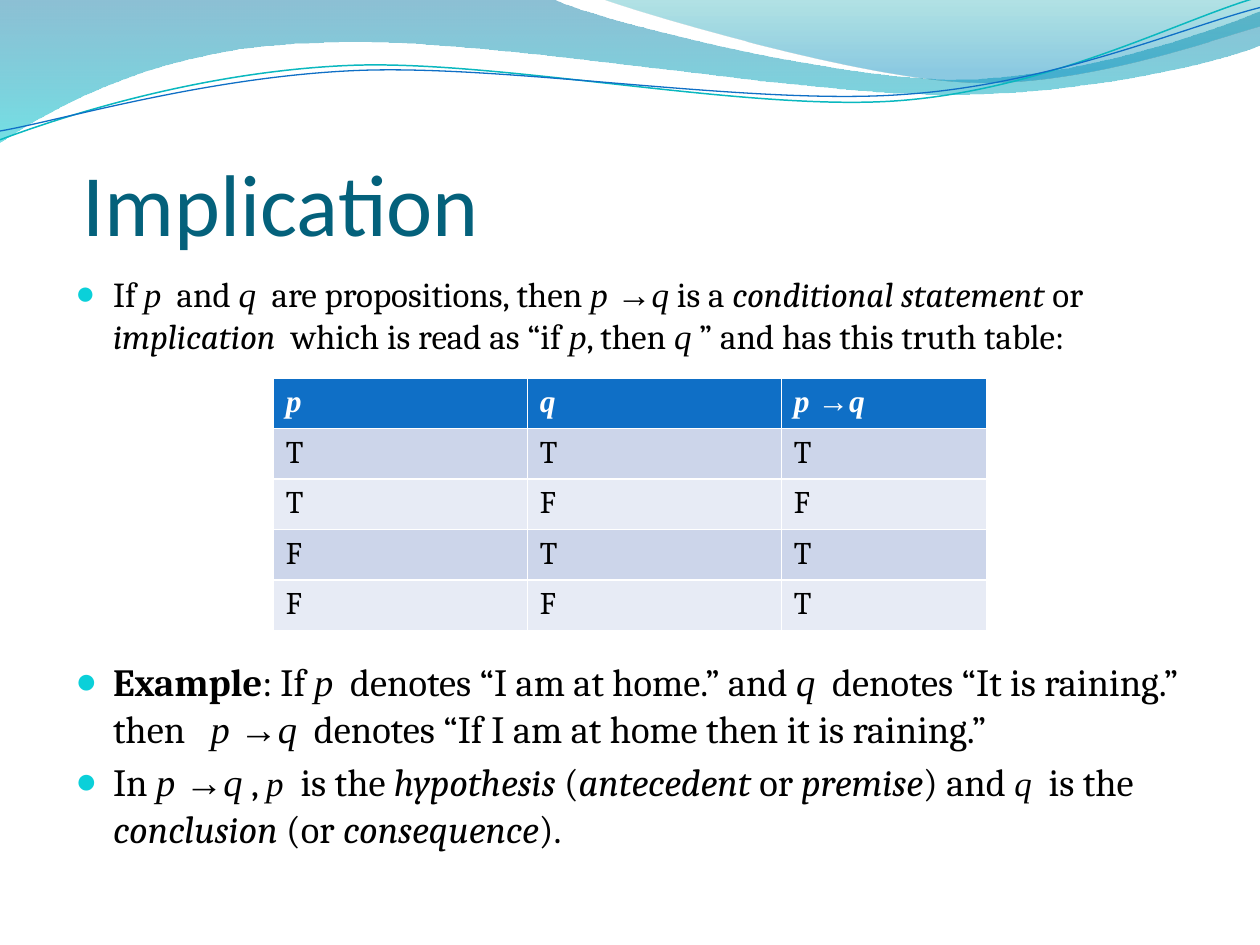
import pptx
import pptx.util
import pptx.dml.color
import pptx.enum.text
import pptx.oxml
import pptx.oxml.ns

Cm, Pt = pptx.util.Cm, pptx.util.Pt
ANCHOR = pptx.enum.text.MSO_ANCHOR
NS = pptx.oxml.ns.nsdecls("a")
qn = pptx.oxml.ns.qn
GRID = 2.54  # cm per unit of the wave coordinates

# Run formats
PLAIN = {"name": "Cambria", "italic": False, "bold": False}
ITAL = {**PLAIN, "italic": True}
BOLD = {**PLAIN, "bold": True}
VAR = {**ITAL, "name": "Times New Roman"}
SMALL_VAR = {**VAR, "size": Pt(20)}
ARROW = {**VAR, "italic": False}
IMPLIES = [("p ", VAR), ("→", ARROW), ("q", VAR)]

# Wave outlines: a start, then lines (2 numbers) and Bezier curves (6 numbers)
BAND = [(0, 0), (4.4, 0), (4.76, 0.17, 6.64, 0.63, 7.58, 0.63),
        (8.53, 0.63, 9.58, 0.26, 10, 0.09), (10, 0.36),
        (9.83, 0.44, 8.7, 0.76, 7.46, 0.75),
        (6.22, 0.75, 3.82, 0.28, 2.57, 0.34),
        (1.29, 0.36, 0.46, 0.83, 0, 1.13)]
CREST = [(4.79, 0), (5.09, 0.11, 6.82, 0.62, 7.69, 0.65),
         (8.56, 0.69, 9.61, 0.32, 10, 0.21), (10, 0)]
TEAL_LINE = [(0, 1.11), (0.48, 0.93, 1.58, 0.57, 2.77, 0.52),
             (3.95, 0.47, 5.93, 0.89, 7.13, 0.8),
             (8.33, 0.71, 9.38, 0.15, 9.98, -0.02)]
BLUE_LINE = [(0, 1.04), (0.47, 0.96, 1.64, 0.61, 2.83, 0.56),
             (4.03, 0.51, 5.97, 0.84, 7.17, 0.75),
             (8.36, 0.67, 9.41, 0.21, 10, 0.06)]

# Body text
DEFINITION = [
    ("If ", PLAIN), ("p", VAR), ("  and ", PLAIN), ("q", VAR),
    ("  are propositions, then ", PLAIN), *IMPLIES, (" is a ", PLAIN),
    ("conditional statement ", ITAL), ("or ", PLAIN), ("implication ", ITAL),
    (" which is read as “if ", PLAIN), ("p", VAR), (", then ", PLAIN),
    ("q", VAR), (" ” and has this truth table:", PLAIN)]
EXAMPLE = [
    ("Example", BOLD), (": If ", PLAIN), ("p", VAR),
    ("  denotes “I am at home.” and ", PLAIN), ("q", VAR),
    ("  denotes “It is raining.” then   ", PLAIN), *IMPLIES,
    ("  denotes “If I am at home then it is raining.” ", PLAIN)]
TERMS = [
    ("In ", PLAIN), *IMPLIES, (" , ", PLAIN), ("p", SMALL_VAR),
    ("  is the ", PLAIN), ("hypothesis", ITAL), (" (", PLAIN),
    ("antecedent", ITAL), (" or ", PLAIN), ("premise", ITAL),
    (") and ", PLAIN), ("q", SMALL_VAR), ("  is the ", PLAIN),
    ("conclusion", ITAL), (" (or ", PLAIN), ("consequence", ITAL),
    ("). ", PLAIN)]
# Runs, size and space before; the second paragraph clears the table
BODY = [(DEFINITION, 20, 0), (EXAMPLE, 22, 172.5), (TERMS, 22, 4.4)]
HEADERS = [[("p ", VAR)], [("q", VAR)], IMPLIES]
TRUTH = ["TTT", "TFF", "FTT", "FFT"]


def rgb(color):
    return pptx.dml.color.RGBColor.from_string(color)


def add_runs(p, runs, size, color, **extra):
    for text, fmt in runs:
        r = p.add_run()
        r.text = text
        for key, value in {"size": Pt(size), **fmt, **extra}.items():
            setattr(r.font, key, value)
        r.font.color.rgb = rgb(color)


def add_wave(s, outline, closed):
    """Draw the outline, joining each curve's three points into one Bezier."""
    pts = [[(Cm(x * GRID), Cm(y * GRID)) for x, y in zip(seg[::2], seg[1::2])]
           for seg in outline]
    builder = s.shapes.build_freeform(*pts[0][0])
    builder.add_line_segments(sum(pts[1:], []), close=closed)
    sp = builder.convert_to_shape()
    sp.shadow.inherit = False
    lines = iter(list(sp.element.spPr.iter(qn("a:lnTo"))))
    for seg in pts[1:]:
        parts = [next(lines) for _ in seg]
        if len(parts) == 3:
            curve = pptx.oxml.parse_xml(f"<a:cubicBezTo {NS}/>")
            parts[0].addprevious(curve)
            for part in parts:
                curve.append(part[0])
                part.getparent().remove(part)
    return sp


def add_wave_area(s, outline, stops):
    sp = add_wave(s, outline, True)
    sp.line.fill.background()
    sp.fill.gradient()
    sp.fill.gradient_angle = 270
    for stop, (position, color, _) in zip(sp.fill.gradient_stops, stops):
        stop.position = position
        stop.color.rgb = rgb(color)
    for clr, (_, _, alpha) in zip(sp.element.spPr.iter(qn("a:srgbClr")), stops):
        clr.append(pptx.oxml.parse_xml(f'<a:alpha {NS} val="{alpha * 1000}"/>'))


def add_wave_line(s, outline, color, width):
    sp = add_wave(s, outline, False)
    sp.fill.background()
    sp.line.color.rgb = rgb(color)
    sp.line.width = Pt(width)


def add_text_box(s, left, top, width, height, **frame):
    tf = s.shapes.add_textbox(Cm(left), Cm(top), Cm(width), Cm(height)).text_frame
    for key, value in {"word_wrap": True, **frame}.items():
        setattr(tf, key, value)
    return tf


def add_bullets(tf, items):
    for i, (runs, size, space) in enumerate(items):
        p = tf.add_paragraph() if i else tf.paragraphs[0]
        p.space_before = Pt(space)
        pPr = p._p.get_or_add_pPr()
        pPr.set("marL", str(Cm(0.76)))
        pPr.set("indent", str(-Cm(0.76)))
        for xml in (f'<a:buClr {NS}><a:srgbClr val="0BD0D9"/></a:buClr>',
                    f'<a:buSzPct {NS} val="95000"/>',
                    f'<a:buFont {NS} typeface="Times New Roman"/>',
                    f'<a:buChar {NS} char="●"/>'):
            pPr.append(pptx.oxml.parse_xml(xml))
        add_runs(p, runs, size, "000000")


def add_truth_table(s):
    rows = HEADERS, *([[(v, PLAIN)] for v in row] for row in TRUTH)
    widths = (5.12, 5.12, 4.14)
    table = s.shapes.add_table(len(rows), len(widths), Cm(5.51), Cm(7.62),
                               Cm(sum(widths)), Cm(4.9)).table
    for col, width in zip(table.columns, widths):
        col.width = Cm(width)
    for i, row in enumerate(rows):
        table.rows[i].height = Cm(0.98)
        for j, runs in enumerate(row):
            cell = table.cell(i, j)
            cell.fill.solid()
            fill = "0F6FC6" if i == 0 else ("E7EBF5", "CCD5EA")[i % 2]
            cell.fill.fore_color.rgb = rgb(fill)
            add_runs(cell.text_frame.paragraphs[0], runs, 18,
                     "000000" if i else "FFFFFF", bold=i == 0)


def main():
    prs = pptx.Presentation()
    prs.slide_width, prs.slide_height = Cm(25.4), Cm(19.05)
    s = prs.slides.add_slide(prs.slide_layouts[6])

    # Wave decoration
    add_wave_area(s, BAND, [(0, "0074A1", 45), (1, "00C6CF", 55)])
    add_wave_area(s, CREST, [(0, "00A1A9", 30), (0.8, "008BBF", 45)])
    add_wave_line(s, TEAL_LINE, "0AB8BF", 0.85)
    add_wave_line(s, BLUE_LINE, "0F6FC6", 0.75)

    # Title
    tf = add_text_box(s, 1.27, 1.96, 22.86, 3.17, margin_left=0, margin_right=0,
                      margin_bottom=0, vertical_anchor=ANCHOR.BOTTOM)
    add_runs(tf.paragraphs[0], [(" Implication", {"name": "Calibri"})], 50, "04617B")

    # Body and truth table
    add_bullets(add_text_box(s, 1.27, 5.37, 22.86, 12.19), BODY)
    add_truth_table(s)
    prs.save("out.pptx")


main()
